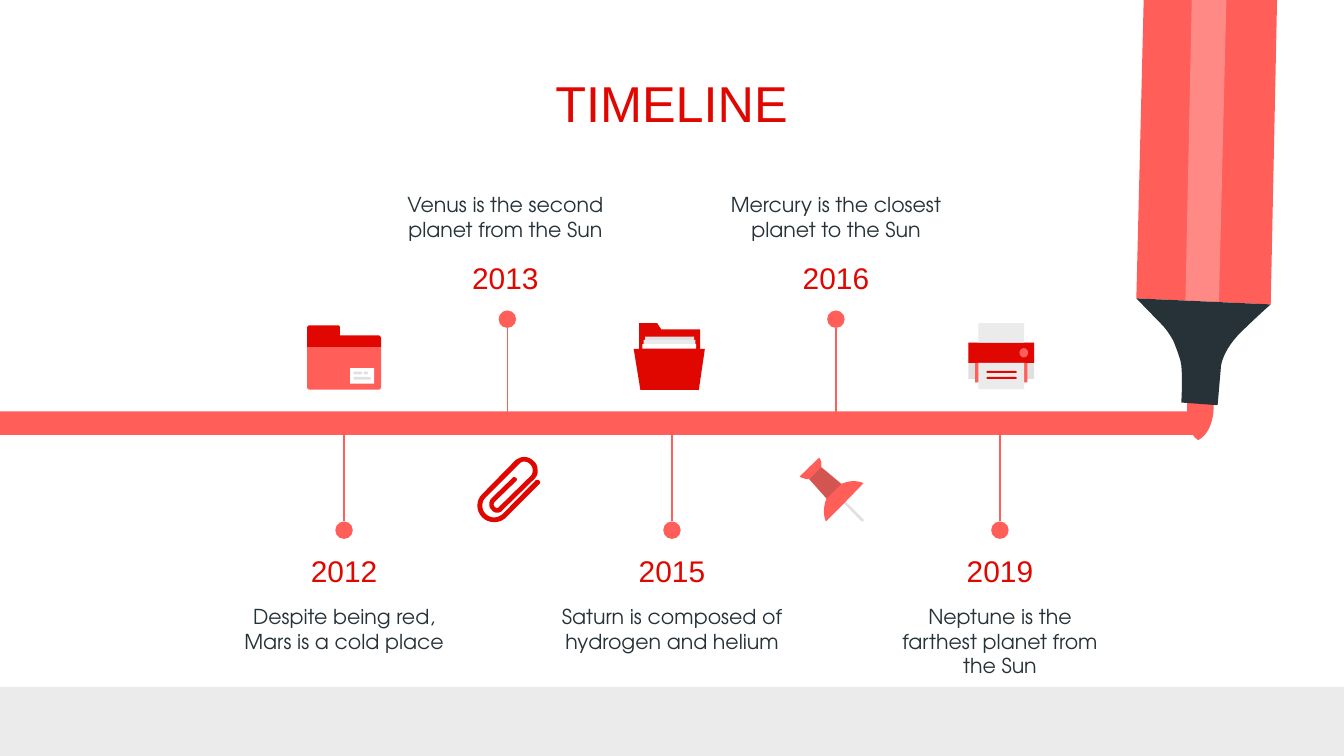
from lxml.etree import SubElement
from pptx import Presentation
from pptx.dml.color import RGBColor
from pptx.enum.shapes import MSO_CONNECTOR, MSO_SHAPE
from pptx.enum.text import MSO_ANCHOR, MSO_AUTO_SIZE, PP_ALIGN
from pptx.oxml.ns import qn
from pptx.util import Cm, Pt

RED, CORAL, DARK = "E00700", "FF5E59", "263238"
WHITE, LIGHT, GREY = "FFFFFF", "EBEBEB", "E0E0E0"
HEADING, BODY = "Arial", "TeX Gyre Adventor"
CURVE_STEPS = 12


def units(value):
    """Slide grid units, 2.54 cm each."""
    return Cm(value * 2.54)


def color(hex_code):
    return RGBColor.from_string(hex_code)


def curve_points(start, curve):
    """Points along a cubic curve given as two controls and an end."""
    x1, y1, x2, y2, x3, y3 = curve
    for step in range(1, CURVE_STEPS + 1):
        t = step / CURVE_STEPS
        u = 1 - t
        weights = u ** 3, 3 * u * u * t, 3 * u * t * t, t ** 3
        yield tuple(sum(w * c for w, c in zip(weights, coords))
                    for coords in ((start[0], x1, x2, x3), (start[1], y1, y2, y3)))


class TimelineSlide:
    def __init__(self):
        self.deck = Presentation()
        self.deck.slide_width, self.deck.slide_height = units(20), units(11.25)
        self.slide = self.deck.slides.add_slide(self.deck.slide_layouts[5])
        self.shapes = self.slide.shapes

    def start_group(self):
        self.shapes = self.slide.shapes.add_group_shape().shapes

    def end_group(self):
        self.shapes = self.slide.shapes

    def paint(self, shape, fill, alpha=None):
        shape.shadow.inherit = False
        shape.fill.solid()
        shape.fill.fore_color.rgb = color(fill)
        shape.line.fill.background()
        if alpha is not None:
            tint = shape.element.spPr.find(".//" + qn("a:srgbClr"))
            SubElement(tint, qn("a:alpha")).set("val", str(alpha * 1000))

    def block(self, left, top, width, height, fill, kind=MSO_SHAPE.RECTANGLE):
        shape = self.shapes.add_shape(kind, *map(units, (left, top, width, height)))
        self.paint(shape, fill)
        return shape

    def dash(self, left, top, width, height, fill):
        self.block(left, top, width, height, fill,
                   MSO_SHAPE.ROUNDED_RECTANGLE).adjustments[0] = 0.5

    def outline(self, fill, start, *segments, alpha=None):
        """Closed outline: pairs are corners, sixes are cubic curves."""
        points = [start]
        for segment in segments:
            points += [segment] if len(segment) == 2 else curve_points(points[-1], segment)
        corners = [(units(x), units(y)) for x, y in points]
        builder = self.shapes.build_freeform(*corners[0])
        builder.add_line_segments(corners[1:], close=True)
        self.paint(builder.convert_to_shape(), fill, alpha)

    def stem(self, x, start, end):
        stem = self.shapes.add_connector(
            MSO_CONNECTOR.STRAIGHT, units(x), units(start), units(x), units(end))
        stem.line.color.rgb = color(CORAL)
        stem.line.width = Pt(1.5)
        SubElement(stem.element.spPr, qn("a:effectLst"))

    def fill_text(self, box, words, size, font, fill, anchor=MSO_ANCHOR.TOP):
        frame = box.text_frame
        frame.text = words
        frame.word_wrap = True
        frame.auto_size = MSO_AUTO_SIZE.NONE
        frame.vertical_anchor = anchor
        frame.margin_left = frame.margin_right = units(0.2)
        frame.margin_top = frame.margin_bottom = units(0.2)
        paragraph = frame.paragraphs[0]
        paragraph.alignment = PP_ALIGN.CENTER
        style = paragraph.runs[0].font
        style.size, style.name = Pt(size), font
        style.color.rgb = color(fill)

    def title(self, words):
        box = self.slide.shapes.title
        box.left, box.top, box.width, box.height = map(units, (1.57, 1.18, 16.85, 0.7))
        self.fill_text(box, words, 54, HEADING, RED, MSO_ANCHOR.MIDDLE)

    def label(self, center, top, height, words, size, font, fill):
        width = 3.71
        box = self.shapes.add_textbox(
            *map(units, (center - width / 2, top, width, height)))
        self.fill_text(box, words, size, font, fill)

    def event(self, x, text_center, above, year, fact):
        dot = 0.26
        if above:
            line_start, line_end, dot_top = 6.33, 4.88, 4.62
            year_top, fact_top, fact_height = 3.67, 2.66, 1.12
        else:
            line_start, line_end, dot_top = 6.31, 7.76, 7.76
            year_top, fact_top, fact_height = 8.02, 8.79, 0.99
        self.stem(x, line_start, line_end)
        self.block(x - dot / 2, dot_top, dot, dot, CORAL, MSO_SHAPE.OVAL)
        self.label(text_center, year_top, 0.7, year, 32, HEADING, RED)
        self.label(text_center, fact_top, fact_height, fact, 22, BODY, DARK)


def draw_marker(page):
    page.start_group()
    page.outline(CORAL, (18.91, 4.53), (19.09, -4.11), (17.12, -4.08), (16.91, 4.44))
    page.outline(CORAL, (17.83, 6.55), (17.83, 6.55, 18.09, 6.44, 18.06, 5.96),
                 (17.67, 5.95), (17.67, 5.95, 17.62, 6.43, 17.83, 6.55))
    page.outline(DARK, (18.12, 6.03), (18.17, 5.45),
                 (18.17, 5.45, 18.19, 5.21, 18.48, 4.93),
                 (18.77, 4.65, 18.91, 4.53, 18.91, 4.53), (16.91, 4.44), (17.28, 4.82),
                 (17.35, 4.89, 17.41, 4.98, 17.46, 5.07),
                 (17.51, 5.19, 17.57, 5.35, 17.58, 5.44),
                 (17.6, 5.64, 17.58, 5.99, 17.58, 5.99))
    page.outline(WHITE, (18.14, 4.49), (18.35, -4.1), (17.82, -4.09), (17.64, 4.47),
                 alpha=27)
    page.end_group()


def draw_closed_folder(page):
    page.start_group()
    page.outline(CORAL, (4.57, 5.16), (4.57, 5.76), (4.57, 5.78, 4.59, 5.8, 4.61, 5.8),
                 (5.63, 5.8), (5.65, 5.8, 5.67, 5.78, 5.67, 5.76), (5.67, 5.16))
    page.outline(RED, (5.03, 4.84), (4.61, 4.84), (4.59, 4.84, 4.57, 4.86, 4.57, 4.88),
                 (4.57, 5.16), (5.67, 5.16), (5.67, 5.03),
                 (5.67, 5.01, 5.65, 4.99, 5.63, 4.99), (5.06, 4.99), (5.06, 4.88),
                 (5.06, 4.86, 5.05, 4.84, 5.03, 4.84))
    page.block(5.21, 5.48, 0.36, 0.23, WHITE)
    for left, top, width in ((5.26, 5.53, 0.13), (5.41, 5.53, 0.07), (5.26, 5.61, 0.26)):
        page.dash(left, top, width, 0.04, GREY)
    page.end_group()


def draw_open_folder(page):
    page.start_group()
    page.outline(RED, (9.43, 5.19), (9.53, 5.8), (10.4, 5.8), (10.49, 5.19))
    page.outline(RED, (9.51, 4.81), (9.51, 5.19), (10.42, 5.19), (10.42, 4.9),
                 (9.84, 4.9), (9.78, 4.81))
    page.block(9.56, 5.12, 0.8, 0.07, WHITE)
    page.block(9.58, 5.06, 0.77, 0.06, LIGHT)
    page.block(9.6, 5.01, 0.73, 0.05, GREY)
    page.end_group()


def draw_printer(page):
    page.start_group()
    page.outline(GREY, (14.41, 5.1), (14.41, 5.64), (14.51, 5.64), (14.51, 5.69),
                 (14.56, 5.69), (14.56, 5.4), (15.24, 5.4), (15.24, 5.69), (15.29, 5.69),
                 (15.29, 5.64), (15.39, 5.64), (15.39, 5.1))
    page.block(14.41, 5.1, 0.98, 0.3, RED)
    page.block(14.51, 5.4, 0.78, 0.29, CORAL)
    page.block(14.56, 4.81, 0.68, 0.29, LIGHT)
    page.block(14.56, 5.4, 0.68, 0.39, LIGHT)
    for top in (5.52, 5.61):
        page.dash(14.68, top, 0.45, 0.03, RED)
    page.block(15.17, 5.18, 0.13, 0.14, CORAL, MSO_SHAPE.OVAL)
    page.end_group()


def draw_pin(page):
    page.start_group()
    page.outline(GREY, (12.57, 7.46), (12.56, 7.46, 12.55, 7.48, 12.56, 7.49),
                 (12.82, 7.76), (12.84, 7.76), (12.85, 7.76, 12.86, 7.74, 12.85, 7.73),
                 (12.58, 7.46))
    page.outline(CORAL, (12.19, 6.81), (11.9, 7.09), (11.94, 7.12, 11.99, 7.13, 12.04, 7.13),
                 (12.3, 7.42), (12.3, 7.42, 12.22, 7.59, 12.29, 7.76), (12.56, 7.49),
                 (12.85, 7.19), (12.8, 7.17, 12.75, 7.16, 12.7, 7.16),
                 (12.64, 7.16, 12.57, 7.18, 12.52, 7.2), (12.22, 6.95),
                 (12.23, 6.9, 12.22, 6.85, 12.19, 6.81))
    page.outline(DARK, (12.22, 6.95), (12.05, 7.13), (12.3, 7.42), (12.52, 7.2), alpha=20)
    page.end_group()


def draw_paperclip(page):
    page.outline(RED, (7.8, 6.8), (7.76, 6.8, 7.71, 6.82, 7.67, 6.85), (7.18, 7.35),
                 (7.02, 7.5, 7.13, 7.77, 7.35, 7.77), (7.42, 7.77, 7.48, 7.75, 7.53, 7.7),
                 (8.03, 7.2), (8.05, 7.18, 8.03, 7.14, 8, 7.14),
                 (7.99, 7.14, 7.98, 7.14, 7.97, 7.15), (7.48, 7.65),
                 (7.44, 7.68, 7.4, 7.7, 7.35, 7.7), (7.31, 7.7, 7.26, 7.68, 7.23, 7.65),
                 (7.16, 7.58, 7.16, 7.47, 7.23, 7.4), (7.73, 6.9),
                 (7.75, 6.88, 7.77, 6.87, 7.8, 6.87), (7.83, 6.87, 7.87, 6.88, 7.89, 6.91),
                 (7.94, 6.96, 7.94, 7.03, 7.9, 7.08), (7.43, 7.54),
                 (7.42, 7.55, 7.41, 7.56, 7.4, 7.56), (7.36, 7.56, 7.33, 7.51, 7.36, 7.47),
                 (7.68, 7.16), (7.71, 7.13, 7.68, 7.1, 7.65, 7.1),
                 (7.64, 7.1, 7.64, 7.1, 7.63, 7.11), (7.31, 7.42),
                 (7.27, 7.47, 7.27, 7.55, 7.32, 7.59), (7.34, 7.62, 7.37, 7.63, 7.4, 7.63),
                 (7.43, 7.63, 7.46, 7.62, 7.48, 7.59), (7.95, 7.13),
                 (7.99, 7.09, 8.01, 7.04, 8, 6.99), (8, 6.94, 7.98, 6.89, 7.94, 6.86),
                 (7.9, 6.82, 7.85, 6.8, 7.8, 6.8))


def main():
    page = TimelineSlide()
    # Floor band, marker stroke and marker
    page.block(0, 10.22, 20, 1.03, LIGHT)
    page.block(0, 6.12, 17.83, 0.35, CORAL)
    draw_marker(page)
    page.title("TIMELINE")
    # Icons
    for draw in (draw_closed_folder, draw_open_folder, draw_printer, draw_pin, draw_paperclip):
        draw(page)
    # Events: stem x, text center, above the stroke, year, fact
    for event in (
        (5.12, 5.12, False, "2012", "Despite being red, Mars is a cold place"),
        (7.55, 7.52, True, "2013", "Venus is the second planet from the Sun"),
        (10, 10, False, "2015", "Saturn is composed of hydrogen and helium"),
        (12.44, 12.44, True, "2016", "Mercury is the closest planet to the Sun"),
        (14.88, 14.88, False, "2019", "Neptune is the farthest planet from the Sun"),
    ):
        page.event(*event)
    page.deck.save("out.pptx")


if __name__ == "__main__":
    main()
